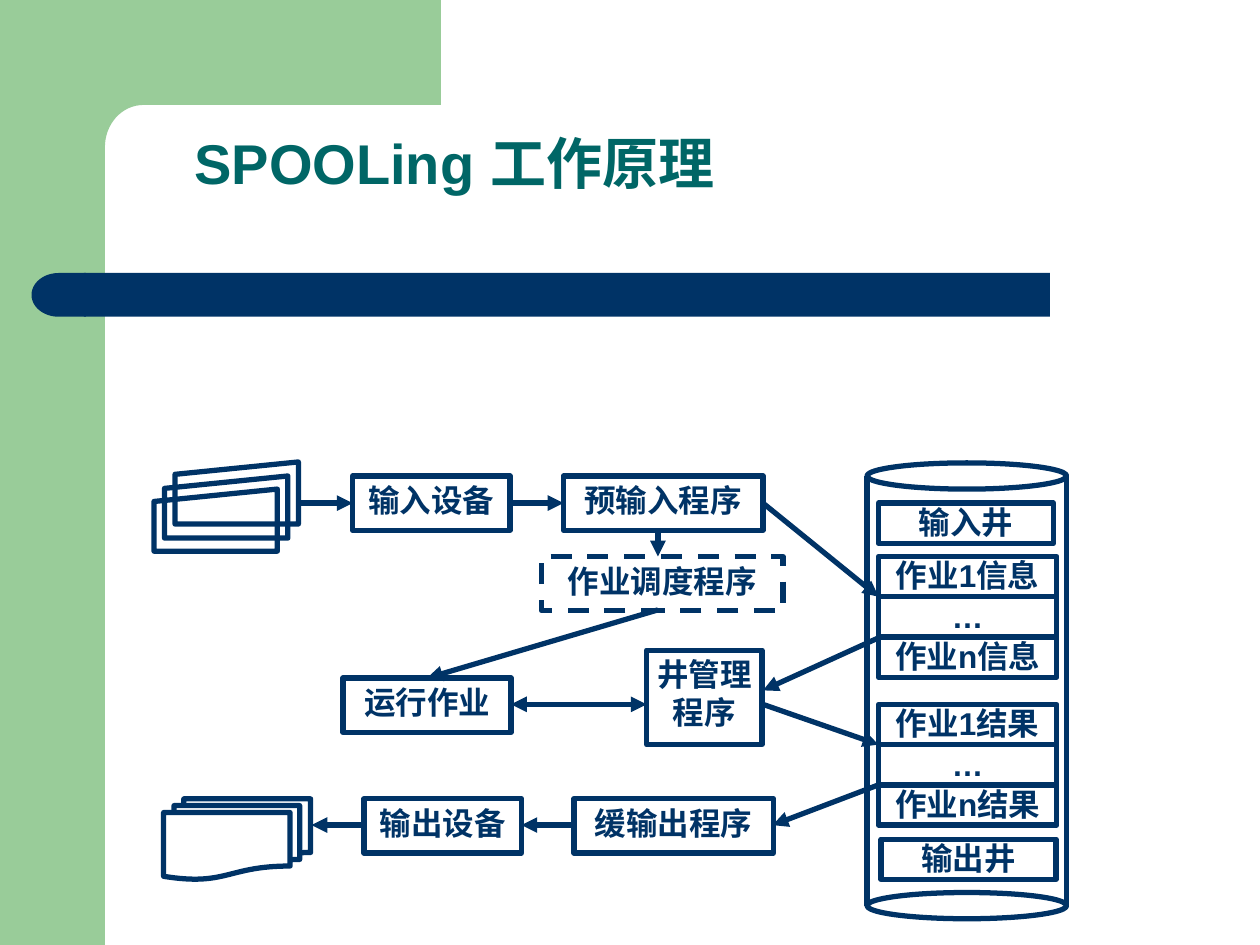
from math import cos, pi, sin

from lxml.etree import SubElement
from pptx import Presentation
from pptx.dml.color import RGBColor
from pptx.enum.dml import MSO_LINE
from pptx.enum.shapes import MSO_CONNECTOR, MSO_SHAPE
from pptx.enum.text import MSO_ANCHOR, PP_ALIGN
from pptx.oxml.ns import qn
from pptx.util import Pt

NAVY, GREEN, TEAL = "003366", "99CC99", "006666"


def color(value):
    return RGBColor.from_string(value)


class Board:
    font, text_size, line_width = "Arial", 18, 3

    def __init__(self, slide):
        self.slide = slide
        self.shapes = slide.shapes

    def style_text(self, paragraph, text, size, text_color):
        paragraph.text = text
        paragraph.font.name = self.font
        paragraph.font.size = Pt(size)
        paragraph.font.bold = True
        paragraph.font.color.rgb = color(text_color)

    def fill(self, shape, fill_color):
        shape.shadow.inherit = False
        shape.fill.solid()
        shape.fill.fore_color.rgb = color(fill_color)
        shape.line.fill.background()

    def block(self, kind, left, top, width, height, fill_color):
        shape = self.shapes.add_shape(kind, Pt(left), Pt(top), Pt(width), Pt(height))
        self.fill(shape, fill_color)
        return shape

    def polygon(self, points, fill_color):
        points = [(Pt(x), Pt(y)) for x, y in points]
        builder = self.shapes.build_freeform(*points[0])
        builder.add_line_segments(points[1:], close=True)
        self.fill(builder.convert_to_shape(), fill_color)

    def title(self, text, left, top, width, height):
        frame = self.shapes.add_textbox(Pt(left), Pt(top), Pt(width), Pt(height)).text_frame
        frame.word_wrap = True
        frame.vertical_anchor = MSO_ANCHOR.BOTTOM
        frame.paragraphs[0].line_spacing = 0.9
        self.style_text(frame.paragraphs[0], text, 32, TEAL)

    def outline(self, kind, left, top, width, height):
        shape = self.shapes.add_shape(kind, Pt(left), Pt(top), Pt(width), Pt(height))
        shape.shadow.inherit = False
        shape.fill.background()
        shape.line.color.rgb = color(NAVY)
        shape.line.width = Pt(self.line_width)
        return shape

    def box(self, lines, left, top, width, height, inset=3):
        shape = self.outline(MSO_SHAPE.RECTANGLE, left, top, width, height)
        frame = shape.text_frame
        frame.word_wrap = True
        frame.vertical_anchor = MSO_ANCHOR.TOP
        frame.margin_left = frame.margin_right = frame.margin_bottom = 0
        frame.margin_top = Pt(inset)
        for index, text in enumerate(lines):
            paragraph = frame.add_paragraph() if index else frame.paragraphs[0]
            paragraph.alignment = PP_ALIGN.CENTER
            self.style_text(paragraph, text, self.text_size, NAVY)
        return shape

    def line(self, x1, y1, x2, y2, ends=()):
        connector = self.shapes.add_connector(
            MSO_CONNECTOR.STRAIGHT, Pt(x1), Pt(y1), Pt(x2), Pt(y2))
        connector.line.color.rgb = color(NAVY)
        connector.line.width = Pt(self.line_width)
        for end in ends:
            SubElement(connector.line._get_or_add_ln(), qn(f"a:{end}"), type="triangle")
        SubElement(connector._element.spPr, qn("a:effectLst"))

    def arrow(self, x1, y1, x2, y2, both=False):
        self.line(x1, y1, x2, y2, ("headEnd", "tailEnd") if both else ("tailEnd",))


def main():
    presentation = Presentation()
    presentation.slide_width, presentation.slide_height = Pt(720), Pt(540)
    board = Board(presentation.slides.add_slide(presentation.slide_layouts[6]))

    # Green frame with a rounded inner corner, and the navy bar
    board.block(MSO_SHAPE.RECTANGLE, 0, 0, 60, 540, GREEN)
    corner = [(82 - 22 * sin(step * pi / 32), 84 - 24 * cos(step * pi / 32))
              for step in range(17)]
    board.polygon([(252, 0), (252, 60), *corner, (60, 92), (36, 92), (36, 0)], GREEN)
    board.block(MSO_SHAPE.RECTANGLE, 48, 156, 552, 25, NAVY)
    board.block(MSO_SHAPE.FLOWCHART_DELAY, 18, 156, 31, 25, NAVY).rotation = 180

    board.title("SPOOLing 工作原理", 104, 62, 552, 54)

    # Disk cylinder
    disk_left, disk_width, disk_top, disk_bottom = 495.5, 114, 272, 517.5
    for y in (disk_top, disk_bottom):
        board.outline(MSO_SHAPE.OVAL, disk_left, y - 7.5, disk_width, 15)
    for x in (disk_left, disk_left + disk_width):
        board.line(x, disk_top, x, disk_bottom)

    # Wells and their records on the disk
    cell_left, cell_height = 502, 23
    board.box(["输入井"], cell_left, 287.5, 100, cell_height, 0)
    board.box(["输出井"], 503.5, 479.5, 100, cell_height, 0)
    for top, kind in ((318, "信息"), (402.5, "结果")):
        for row, text in enumerate((f"作业1{kind}", "…", f"作业n{kind}")):
            board.box([text], cell_left, top + row * cell_height, 102, cell_height, 0)

    # Devices and programs
    for text, left, top, width in (
        ("输入设备", 201.5, 272, 90),
        ("预输入程序", 322, 272, 114),
        ("运行作业", 196, 387.5, 96),
        ("输出设备", 208, 456.5, 90),
        ("缓输出程序", 328, 456.5, 114),
    ):
        board.box([text], left, top, width, 31)
    board.box(["井管理", "程序"], 369.5, 371.5, 66, 54)
    scheduler = board.box(["作业调度程序"], 309.5, 318, 138, 31)
    scheduler.line.dash_style = MSO_LINE.DASH

    # Input cards and printed output
    for left, top in ((100, 264), (94, 272), (88, 279.5)):
        board.outline(MSO_SHAPE.FLOWCHART_MANUAL_INPUT, left, top, 70.5, 35.5)
    board.outline(MSO_SHAPE.FLOWCHART_MULTIDOCUMENT, 93.5, 456.5, 84, 46)

    # Data flow
    for ends in (
        (172, 287.5, 201.5, 287.5),
        (292, 287.5, 322, 287.5),
        (436, 287.5, 502, 341),
        (376, 302.5, 376, 318),
        (376, 348.5, 244, 387.5),
        (502, 364.5, 436, 394.5),
        (436, 402.5, 502, 425.5),
        (502, 448.5, 441.5, 471.5),
        (328, 471.5, 298, 471.5),
        (208, 471.5, 178, 471.5),
    ):
        board.arrow(*ends)
    board.arrow(369.5, 402.5, 292, 402.5, both=True)

    presentation.save("out.pptx")


if __name__ == "__main__":
    main()
